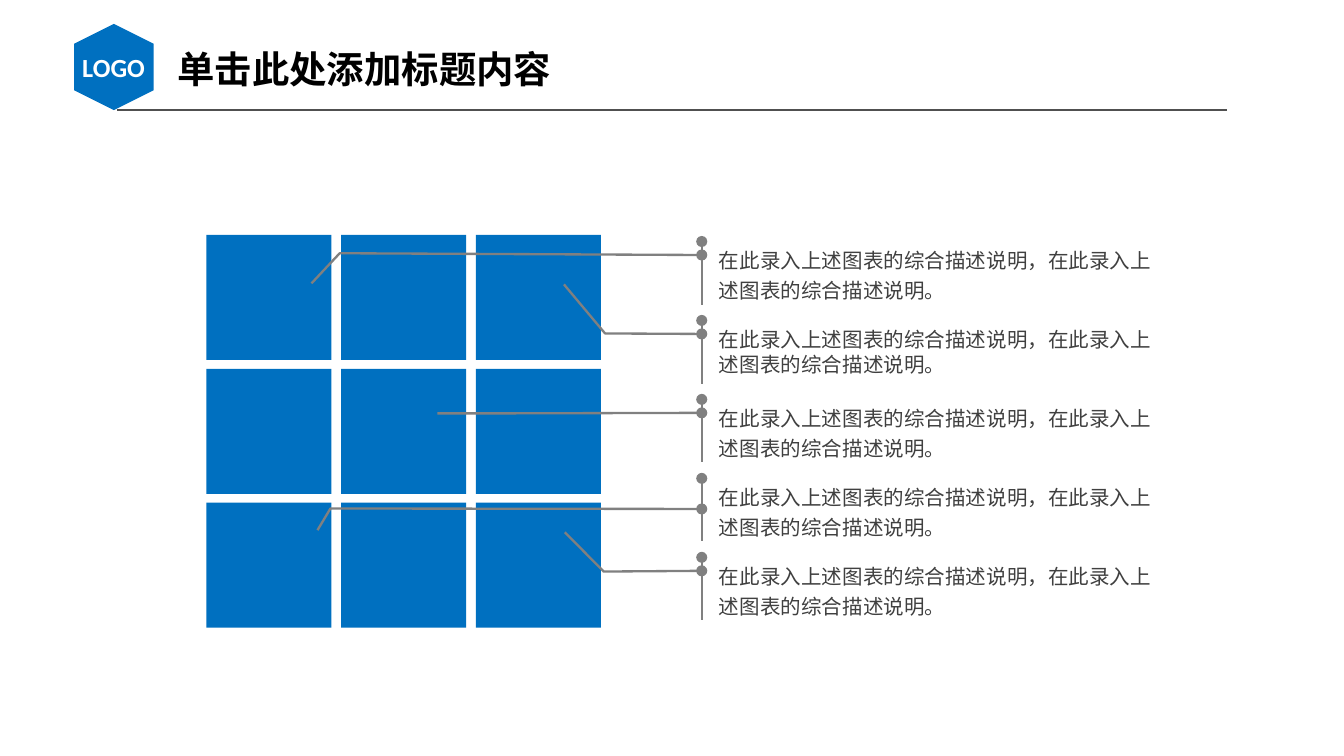
import dataclasses

import lxml.etree
import pptx
import pptx.dml.color
import pptx.enum.shapes
import pptx.enum.text
import pptx.oxml.ns
import pptx.util

Pt = pptx.util.Pt
RGB = pptx.dml.color.RGBColor.from_string
SHAPE = pptx.enum.shapes.MSO_SHAPE
ALIGN = pptx.enum.text.PP_ALIGN
MID = pptx.enum.text.MSO_ANCHOR.MIDDLE
qn = pptx.oxml.ns.qn


@dataclasses.dataclass(frozen=True)
class Theme:
    blue: str = "0070C0"
    white: str = "FFFFFF"
    black: str = "000000"
    rule: str = "505050"
    grey: str = "808080"
    ink: str = "404040"
    head: float = 20
    logo: float = 14
    body: float = 11
    latin: str = "Calibri"
    hans: str = "Noto Sans CJK SC"


THEME = Theme()
NOTE = "在此录入上述图表的综合描述说明，在此录入上述图表的综合描述说明。"

# Callout leaders as (y, x) fractions of the note box, with line spacing
NOTES = [
    ((0.214, -0.02, 0.187, -0.803, 0.664, -0.864), 1.2),
    ((0.214, -0.02, 0.207, -0.229, -0.572, -0.318), 1.0),
    ((0.214, -0.02, 0.222, -0.43, 0.222, -0.592), 1.2),
    ((0.485, -0.02, 0.478, -0.823, 0.822, -0.851), 1.2),
    ((0.214, -0.02, 0.226, -0.232, -0.398, -0.316), 1.2),
]


def put_text(shape, text, size, color, face, align, bold=False,
             pad=(0, 0), space=1.0):
    frame = shape.text_frame
    frame.text = text
    frame.word_wrap = True
    frame.auto_size = pptx.enum.text.MSO_AUTO_SIZE.NONE
    frame.vertical_anchor = MID
    frame.margin_left = frame.margin_right = Pt(pad[0])
    frame.margin_top = frame.margin_bottom = Pt(pad[1])
    para = frame.paragraphs[0]
    para.alignment = align
    para.line_spacing = space
    font = para.runs[0].font
    font.size, font.bold, font.name = Pt(size), bold, face
    font.color.rgb = RGB(color)
    # East Asian typeface
    props = para.runs[0]._r.get_or_add_rPr()
    lxml.etree.SubElement(props, qn("a:ea")).set("typeface", face)


def add_block(slide, kind, left, top, width, height):
    block = slide.shapes.add_shape(
        kind, Pt(left), Pt(top), Pt(width), Pt(height))
    block.shadow.inherit = False
    block.fill.solid()
    block.fill.fore_color.rgb = RGB(THEME.blue)
    block.line.fill.background()
    return block


def add_rule(slide, left, right, top):
    rule = slide.shapes.add_connector(
        pptx.enum.shapes.MSO_CONNECTOR.STRAIGHT,
        Pt(left), Pt(top), Pt(right), Pt(top))
    rule.line.color.rgb = RGB(THEME.rule)
    rule.line.width = Pt(0.75)
    lxml.etree.SubElement(rule._element.spPr, qn("a:effectLst"))


def add_note(slide, top, leader, space):
    note = slide.shapes.add_shape(
        SHAPE.LINE_CALLOUT_2_ACCENT_BAR,
        Pt(380.9), Pt(top), Pt(247.7), Pt(33.8))
    for i, value in enumerate(leader):
        note.adjustments[i] = value
    note.shadow.inherit = False
    note.fill.background()
    note.line.color.rgb = RGB(THEME.grey)
    note.line.width = Pt(1.25)
    line = note._element.spPr.find(qn("a:ln"))
    lxml.etree.SubElement(line, qn("a:headEnd")).set("type", "oval")
    put_text(note, NOTE, THEME.body, THEME.ink, THEME.hans, ALIGN.LEFT,
             pad=(4.3, 2.2), space=space)


def add_head(slide):
    add_rule(slide, 62.6, 657.4, 58.9)
    badge = add_block(slide, SHAPE.HEXAGON, 37.9, 14.6, 46.2, 42.6)
    badge.rotation = 90
    logo = slide.shapes.add_textbox(Pt(35.3), Pt(23.8), Pt(51.1), Pt(24.5))
    put_text(logo, "LOGO", THEME.logo, THEME.white, THEME.latin,
             ALIGN.CENTER, bold=True)
    title = slide.shapes.title
    title.left, title.top = Pt(87.8), Pt(20.9)
    title.width, title.height = Pt(283.7), Pt(31.7)
    put_text(title, "单击此处添加标题内容", THEME.head, THEME.black, THEME.hans,
             ALIGN.LEFT, bold=True, pad=(7.2, 0))


def main():
    deck = pptx.Presentation()
    deck.slide_width, deck.slide_height = Pt(720), Pt(405)
    slide = deck.slides.add_slide(deck.slide_layouts[5])

    # Header
    add_head(slide)

    # Three by three grid of squares
    for row in range(3):
        for col in range(3):
            add_block(slide, SHAPE.RECTANGLE,
                      110.6 + 72.2 * col, 125.9 + 71.7 * row, 67, 67)

    # Notes with leaders into the grid
    for i, (leader, space) in enumerate(NOTES):
        add_note(slide, 129.4 + 42.3 * i, leader, space)

    deck.save("out.pptx")


if __name__ == "__main__":
    main()
